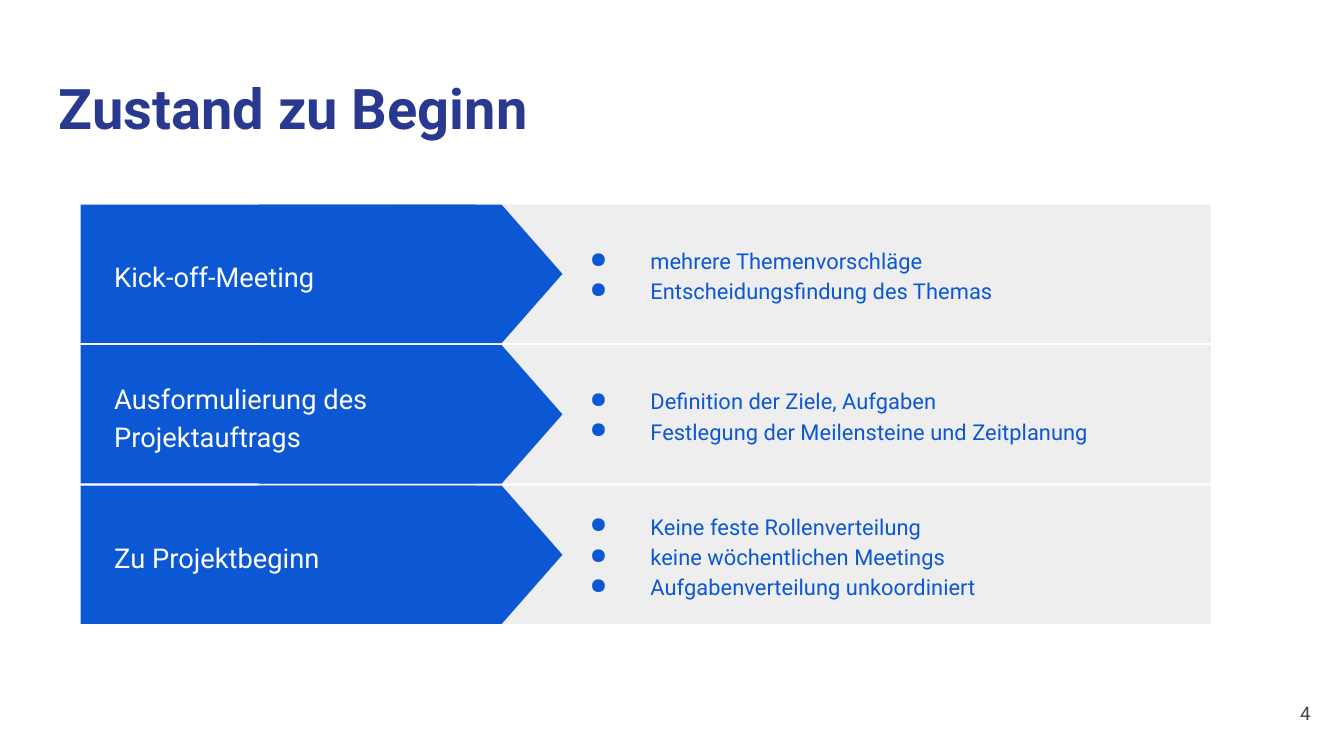
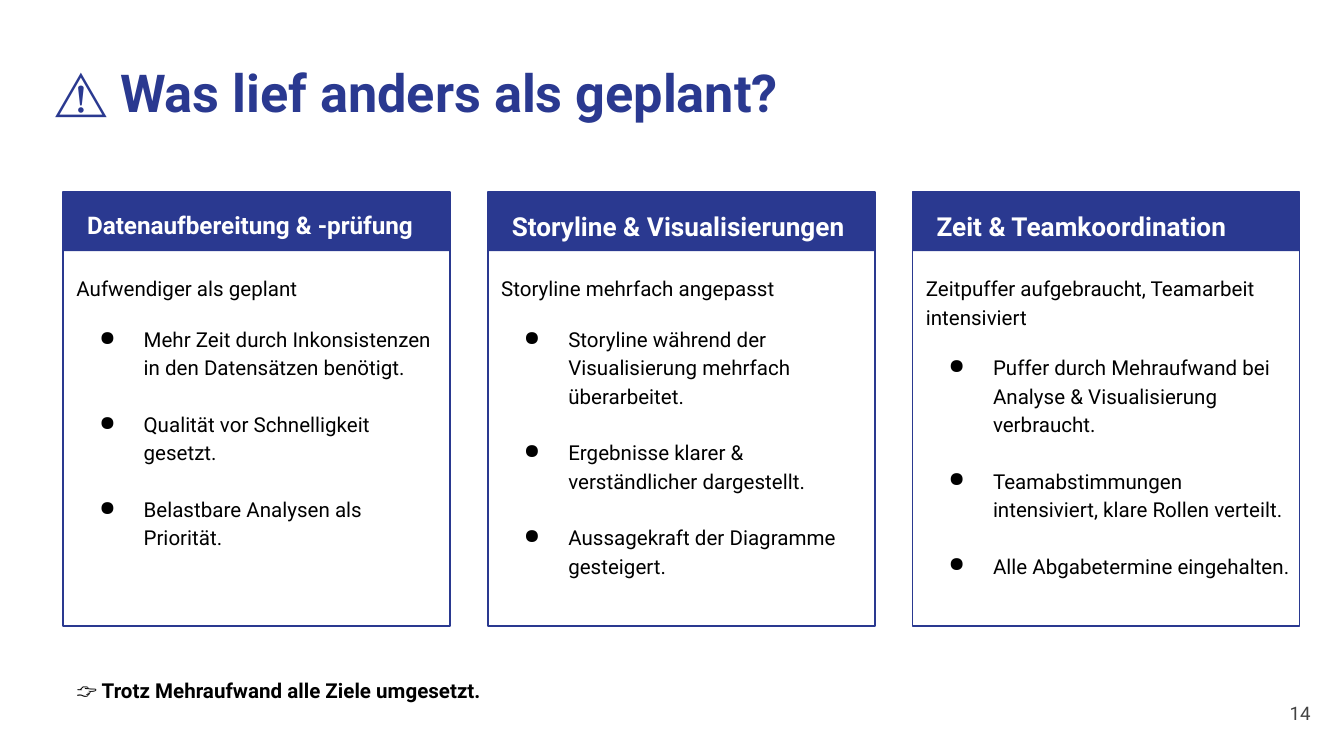
"""Builds two project review slides: the initial state and the deviations from plan."""
from lxml import etree
from pptx import Presentation
from pptx import util as u
from pptx.dml.color import RGBColor
from pptx.enum import shapes, text
from pptx.oxml import ns

NAVY = RGBColor(0x2A, 0x39, 0x90)
BLUE = RGBColor(0x0C, 0x57, 0xD3)
PALE = RGBColor(0xEE, 0xEE, 0xEE)
GREY = RGBColor(0x43, 0x43, 0x43)
WHITE = RGBColor(0xFF, 0xFF, 0xFF)
BLACK = RGBColor(0x00, 0x00, 0x00)

FONT = "Roboto"
COLUMNS, ROWS = 100, 56.25

PHASES = [
    ("Kick-off-Meeting",
     ["mehrere Themenvorschläge", "Entscheidungsfindung des Themas"]),
    ("Ausformulierung des Projektauftrags",
     ["Definition der Ziele, Aufgaben", "Festlegung der Meilensteine und Zeitplanung"]),
    ("Zu Projektbeginn",
     ["Keine feste Rollenverteilung", "keine wöchentlichen Meetings",
      "Aufgabenverteilung unkoordiniert"]),
]

DEVIATIONS = [
    ("Datenaufbereitung & -prüfung", 13, "Aufwendiger als geplant",
     ["Mehr Zeit durch Inkonsistenzen in den Datensätzen benötigt.",
      "Qualität vor Schnelligkeit gesetzt.",
      "Belastbare Analysen als Priorität."]),
    ("Storyline & Visualisierungen", 14, "Storyline mehrfach angepasst",
     ["Storyline während der Visualisierung mehrfach überarbeitet.",
      "Ergebnisse klarer & verständlicher dargestellt.",
      "Aussagekraft der Diagramme gesteigert."]),
    ("Zeit & Teamkoordination", 14, "Zeitpuffer aufgebraucht, Teamarbeit intensiviert",
     ["Puffer durch Mehraufwand bei Analyse & Visualisierung verbraucht.",
      "Teamabstimmungen intensiviert, klare Rollen verteilt.",
      "Alle Abgabetermine eingehalten."]),
]


class Deck:
    """Holds the shared style and the current slide."""

    def __init__(self):
        self.prs = Presentation()
        self.prs.slide_width = u.Inches(10)
        self.prs.slide_height = u.Inches(5.625)
        self.slide = None

    def box(self, left, top, width, height):
        """Turn columns and rows into slide lengths."""
        column = self.prs.slide_width / COLUMNS
        row = self.prs.slide_height / ROWS
        return [round(n) for n in (left * column, top * row, width * column, height * row)]

    def new_slide(self, title, size, left, top, number):
        """Start a slide with its title and page number."""
        self.slide = self.prs.slides.add_slide(self.prs.slide_layouts[6])
        heading = self.frame(left, top, 93.2, 6.6)
        self.paragraph(heading, title, size, NAVY, bold=True, spacing=1)
        page = self.frame(92.5, 50.9, 6, 4.3, middle=True)
        self.paragraph(page, number, 10, GREY, spacing=1).alignment = text.PP_ALIGN.RIGHT

    def shape(self, kind, left, top, width, height, fill=None, line=None, rotation=0):
        """Add a preset shape, filled or outlined."""
        shape = self.slide.shapes.add_shape(kind, *self.box(left, top, width, height))
        shape.shadow.inherit = False
        shape.rotation = rotation
        if fill is None:
            shape.fill.background()
        else:
            shape.fill.solid()
            shape.fill.fore_color.rgb = fill
        if line is None:
            shape.line.fill.background()
        else:
            shape.line.color.rgb = line
            shape.line.width = u.Pt(0.75)

    def rectangle(self, *place, **look):
        """Add a rectangle."""
        self.shape(shapes.MSO_SHAPE.RECTANGLE, *place, **look)

    def frame(self, left, top, width, height, inset=0.1, middle=False):
        """Add a wrapping text box and return its text frame."""
        frame = self.slide.shapes.add_textbox(*self.box(left, top, width, height)).text_frame
        frame.word_wrap = True
        frame.margin_left = frame.margin_right = u.Inches(inset)
        frame.margin_top = frame.margin_bottom = u.Inches(inset)
        frame.vertical_anchor = text.MSO_ANCHOR.MIDDLE if middle else text.MSO_ANCHOR.TOP
        return frame

    def paragraph(self, frame, words, size, color, bold=False, spacing=1.15, before=0):
        """Add one paragraph with a single run."""
        first = frame.paragraphs[0]
        paragraph = frame.add_paragraph() if first.runs else first
        paragraph.line_spacing = spacing
        paragraph.space_before = u.Pt(before)
        run = paragraph.add_run()
        run.text = words
        run.font.name = FONT
        run.font.size = u.Pt(size)
        run.font.bold = bold
        run.font.color.rgb = color
        return paragraph

    def bullet(self, frame, words, size, color, margin, hang, before=0):
        """Add one bulleted paragraph with a hanging indent."""
        paragraph = self.paragraph(frame, words, size, color, before=before)
        props = paragraph._p.get_or_add_pPr()
        props.set("marL", str(u.Inches(margin)))
        props.set("indent", str(u.Inches(-hang)))
        tint = etree.SubElement(props, ns.qn("a:buClr"))
        etree.SubElement(tint, ns.qn("a:srgbClr")).set("val", str(color))
        etree.SubElement(props, ns.qn("a:buChar")).set("char", "●")

    def phase(self, top, name, points):
        """Add a blue arrow band with its points on a pale bar."""
        height, arrow = 10.3, 22.6
        self.rectangle(29.1, top, 61, height, fill=PALE)
        self.rectangle(6, top, 29.4, height, fill=BLUE)
        self.shape(shapes.MSO_SHAPE.FLOWCHART_OFFPAGE_CONNECTOR, 25.4,
                   top + (height - arrow) / 2, height, arrow, fill=BLUE, rotation=270)
        label = self.frame(7, top + 1.25, 31, 7.9, inset=0.15, middle=True)
        self.paragraph(label, name, 14.6, WHITE)
        details = self.frame(39.6, top + 0.05, 47.4, 10.2, inset=0.15, middle=True)
        for point in points:
            self.bullet(details, point, 11.7, BLUE, 0.73, 0.45)

    def card(self, left, heading, size, summary, points):
        """Add an outlined card with a navy heading band."""
        top, width = 14.3, 28.8
        self.rectangle(left, top, width, 4.4, fill=NAVY)
        self.rectangle(left, top, width, 32.3, line=NAVY)
        band = self.frame(left + 0.8, top, 27.3, 5)
        self.paragraph(band, heading, size, WHITE, bold=True)
        body = self.frame(left, top + 5, 29.2, 31.5)
        self.paragraph(body, summary, 11, BLACK, before=12)
        for index, point in enumerate(points):
            self.bullet(body, point, 11, BLACK, 0.5, 0.33, before=15.2 if index else 12)


def main():
    """Build and save both slides."""
    deck = Deck()
    deck.new_slide("Zustand zu Beginn", 30, 3.4, 4.5, "4")
    for index, phase in enumerate(PHASES):
        deck.phase(15.23 + 10.45 * index, *phase)

    deck.new_slide("⚠️ Was lief anders als geplant?", 28, 3.1, 3.5, "14")
    for index, deviation in enumerate(DEVIATIONS):
        deck.card(4.7 + 31.6 * index, *deviation)
    conclusion = deck.frame(4.7, 49.2, 82.6, 6)
    deck.paragraph(conclusion, "👉 Trotz Mehraufwand alle Ziele umgesetzt.", 11, BLACK,
                   bold=True, before=12)
    deck.prs.save("out.pptx")


if __name__ == "__main__":
    main()
